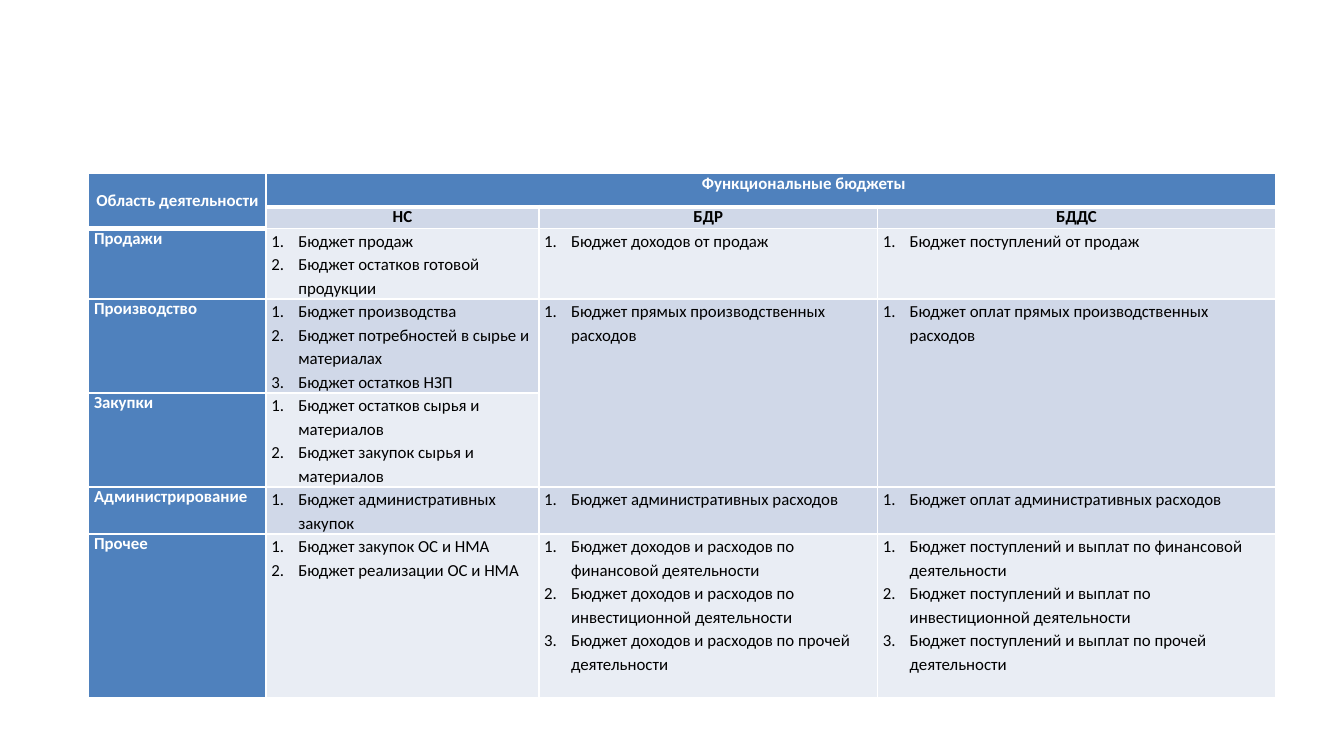
from lxml.etree import SubElement
from pptx import Presentation
from pptx.dml.color import RGBColor
from pptx.enum.text import MSO_ANCHOR, PP_ALIGN
from pptx.oxml.ns import qn
from pptx.util import Inches, Pt

COLORS = {"head": "4F81BD", "dark": "D0D8E8", "light": "E9EDF4",
          "white": "FFFFFF", "black": "000000"}
CORNER = "Область деятельности"
GROUP = "Функциональные бюджеты"
BUDGETS = ["НС", "БДР", "БДДС"]
# Area, then one list of budgets per column; None continues the cell above
AREAS = [
    ("Продажи",
     ["Бюджет продаж", "Бюджет остатков готовой продукции"],
     ["Бюджет доходов от продаж"],
     ["Бюджет поступлений от продаж"]),
    ("Производство",
     ["Бюджет производства", "Бюджет потребностей в сырье и материалах",
      "Бюджет остатков НЗП"],
     ["Бюджет прямых производственных расходов"],
     ["Бюджет оплат прямых производственных расходов"]),
    ("Закупки",
     ["Бюджет остатков сырья и материалов", "Бюджет закупок сырья и материалов"],
     None,
     None),
    ("Администрирование",
     ["Бюджет административных закупок"],
     ["Бюджет административных расходов"],
     ["Бюджет оплат административных расходов"]),
    ("Прочее",
     ["Бюджет закупок ОС и НМА", "Бюджет реализации ОС и НМА"],
     ["Бюджет доходов и расходов по финансовой деятельности",
      "Бюджет доходов и расходов по инвестиционной деятельности",
      "Бюджет доходов и расходов по прочей деятельности"],
     ["Бюджет поступлений и выплат по финансовой деятельности",
      "Бюджет поступлений и выплат по инвестиционной деятельности",
      "Бюджет поступлений и выплат по прочей деятельности"]),
]
COL_WIDTHS = [1.32, 2.03, 2.52, 2.96]
ROW_HEIGHTS = [0.25, 0.16, 0.52, 0.7, 0.7, 0.35, 1.22]


def rgb(name):
    return RGBColor.from_string(COLORS[name])


def set_borders(cell, bottom):
    tc_pr = cell._tc.get_or_add_tcPr()
    for side, width in (("L", 1), ("R", 1), ("T", 1), ("B", bottom)):
        ln = SubElement(tc_pr, qn(f"a:ln{side}"), w=str(Pt(width)))
        fill = SubElement(ln, qn("a:solidFill"))
        SubElement(fill, qn("a:srgbClr"), val=COLORS["white"])


def style_cell(cell, fill, bottom=1):
    cell.margin_left = cell.margin_right = Inches(0.04)
    cell.margin_top = cell.margin_bottom = 0
    set_borders(cell, bottom)
    cell.fill.solid()
    cell.fill.fore_color.rgb = rgb(fill)
    cell.text_frame.paragraphs[0].font.size = Pt(9)


def write(cell, lines, color, bold=True, align=PP_ALIGN.LEFT, numbered=False):
    tf = cell.text_frame
    for i, line in enumerate(lines):
        p = tf.add_paragraph() if i else tf.paragraphs[0]
        p.text = line
        p.alignment = align
        if numbered:
            p.line_spacing = 1.15
            p_pr = p._p.get_or_add_pPr()
            p_pr.set("marL", str(Inches(0.2)))
            p_pr.set("indent", str(-Inches(0.2)))
            number = p_pr.makeelement(qn("a:buAutoNum"), {"type": "arabicPeriod"})
            p_pr.find(qn("a:lnSpc")).addnext(number)
        p.font.name = "Calibri"
        p.font.size = Pt(9)
        p.font.bold = bold
        p.font.color.rgb = rgb(color)


prs = Presentation()
prs.slide_width = Inches(10)
prs.slide_height = prs.slide_width * 9 // 16
slide = prs.slides.add_slide(prs.slide_layouts[6])
table = slide.shapes.add_table(
    len(ROW_HEIGHTS), len(COL_WIDTHS), Inches(0.66), Inches(1.29),
    Inches(sum(COL_WIDTHS)), Inches(sum(ROW_HEIGHTS))).table
table.first_row = table.horz_banding = False
for column, width in zip(table.columns, COL_WIDTHS):
    column.width = Inches(width)
for row, height in zip(table.rows, ROW_HEIGHTS):
    row.height = Inches(height)

for r in range(len(ROW_HEIGHTS)):
    for c in range(len(COL_WIDTHS)):
        band = "dark" if r % 2 else "light"
        is_head = r == 0 or c == 0
        style_cell(table.cell(r, c), "head" if is_head else band,
                   bottom=3 if r == 0 or (r, c) == (1, 0) else 1)

corner, group = table.cell(0, 0), table.cell(0, 1)
corner.merge(table.cell(1, 0))
corner.vertical_anchor = MSO_ANCHOR.MIDDLE
write(corner, [CORNER], "white", align=PP_ALIGN.CENTER)
group.merge(table.cell(0, 3))
write(group, [GROUP], "white", align=PP_ALIGN.CENTER)
group.text_frame.paragraphs[0]._p.get_or_add_pPr().set("indent", str(Inches(0.49)))
for c, budget in enumerate(BUDGETS, 1):
    write(table.cell(1, c), [budget], "black", align=PP_ALIGN.CENTER)

for r, (area, *lists) in enumerate(AREAS, 2):
    write(table.cell(r, 0), [area], "white", align=PP_ALIGN.JUSTIFY)
    for c, items in enumerate(lists, 1):
        if items is None:
            table.cell(r - 1, c).merge(table.cell(r, c))
        else:
            write(table.cell(r, c), items, "black", bold=False, numbered=True)

prs.save("out.pptx")
